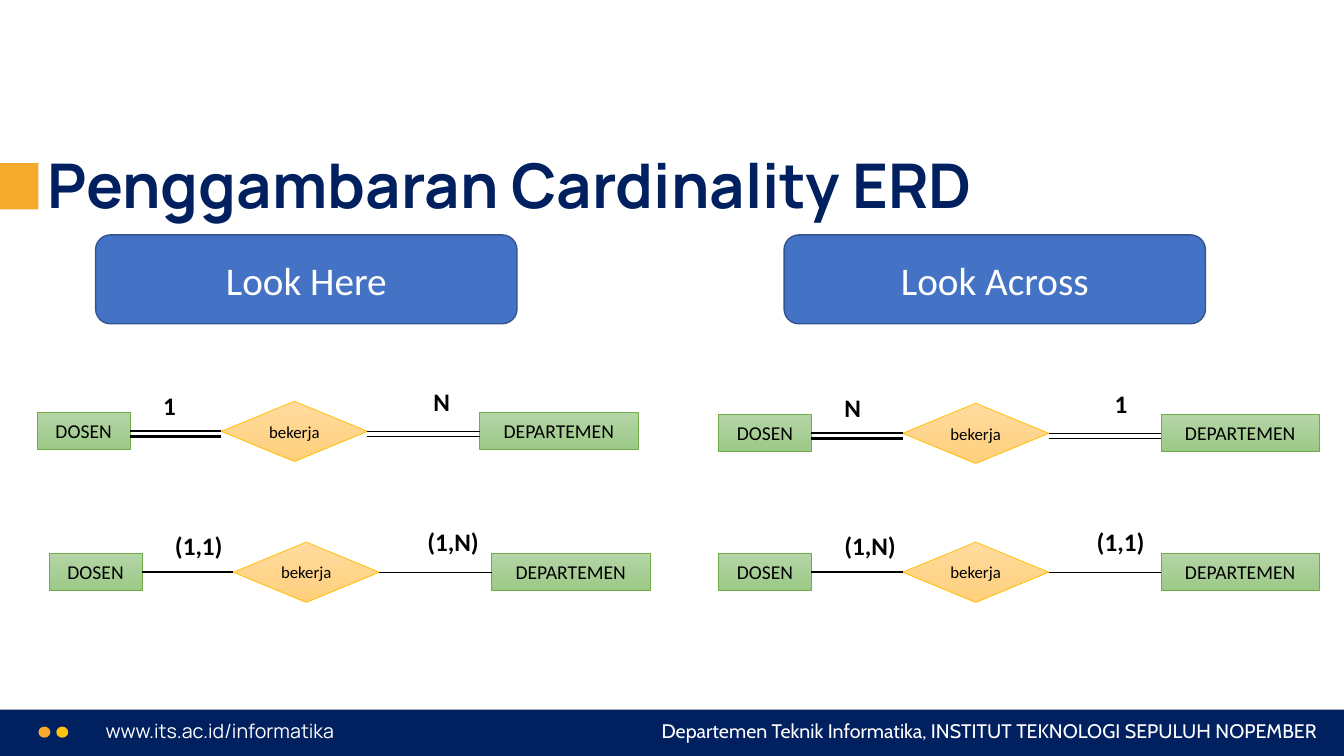
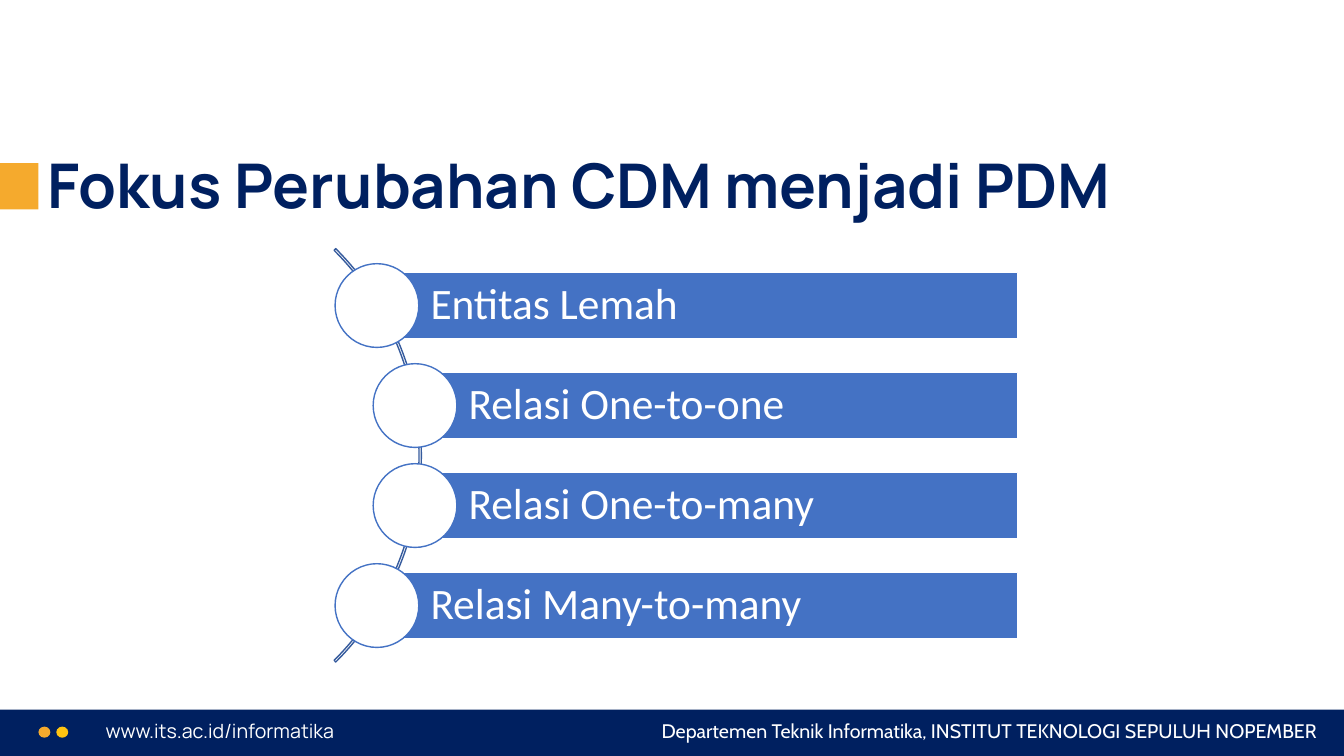
from pptx import Presentation
from pptx import util as u
from pptx.dml.color import RGBColor
from pptx.enum import shapes, text
from pptx.oxml.ns import qn
from lxml import etree

COLORS = {
    "navy": "002060", "orange": "F5AA2D", "yellow": "FFC411",
    "blue": "4472C4", "blue_edge": "325491", "arc": "365B9D",
    "green_top": "B5D5A7", "green_bottom": "9CC987", "green_edge": "70AD47",
    "gold_top": "FFDB9E", "gold_bottom": "FFD07C", "gold_edge": "FFC000",
    "black": "000000", "white": "FFFFFF",
}
GREEN = ("green_top", "green_bottom")
GOLD = ("gold_top", "gold_bottom")
WIDTH, HEIGHT = 33.87, 19.05
SHAPE = shapes.MSO_SHAPE
ALIGN = text.PP_ALIGN
ANCHOR = text.MSO_ANCHOR


def rgb(name):
    return RGBColor.from_string(COLORS[name])


class Deck:
    """Holds the shared style and the slide being drawn."""

    def __init__(self):
        self.prs = Presentation()
        self.prs.slide_width = u.Cm(WIDTH)
        self.prs.slide_height = u.Cm(HEIGHT)
        self.s = None

    def slide(self, title):
        self.s = self.prs.slides.add_slide(self.prs.slide_layouts[5])
        self.footer()
        # Title with its accent block
        self.shape(SHAPE.RECTANGLE, 0, 4.11, 0.97, 1.17, "orange")
        sp = self.s.shapes.title
        sp.left, sp.top, sp.width, sp.height = map(u.Cm, (0.94, 3.51, 32.16, 2.21))
        sp.text_frame.auto_size = text.MSO_AUTO_SIZE.NONE
        sp.text_frame.vertical_anchor = ANCHOR.BOTTOM
        self.add_text(sp.text_frame, title, 44, "navy", "Manrope", True,
                      ALIGN.LEFT, 0.9)

    def footer(self):
        self.shape(SHAPE.RECTANGLE, 0, 17.88, WIDTH, 1.17, "navy")
        for x, color in ((0.97, "orange"), (1.42, "yellow")):
            self.shape(SHAPE.OVAL, x, 18.31, 0.3, 0.28, color)
        self.label("www.its.ac.id/informatika", 2.41, 17.98, 10.87, 0.86,
                   14, "white", "Manrope")
        self.label("Departemen Teknik Informatika, INSTITUT TEKNOLOGI SEPULUH NOPEMBER",
                   15.01, 17.98, 18.44, 0.86, 14, "white", "Cabin",
                   align=ALIGN.RIGHT)

    def add_text(self, tf, words, size, color, font="Calibri", bold=False,
                 align=ALIGN.CENTER, spacing=None):
        p = tf.paragraphs[0]
        p.alignment = align
        if spacing:
            p.line_spacing = spacing
        r = p.add_run()
        r.text = words
        r.font.size, r.font.name, r.font.bold = u.Pt(size), font, bold
        r.font.color.rgb = rgb(color)

    def shape(self, kind, x, y, w, h, fill=None, edge=None, weight=1):
        """Fill is a colour name, a pair for a vertical gradient, or None."""
        sp = self.s.shapes.add_shape(kind, *map(u.Cm, (x, y, w, h)))
        sp.shadow.inherit = False
        if fill is None:
            sp.fill.background()
        elif isinstance(fill, tuple):
            sp.fill.gradient()
            sp.fill.gradient_angle = 270
            for stop, name, position in zip(sp.fill.gradient_stops, fill, (0, 1)):
                stop.color.rgb = rgb(name)
                stop.position = position
        else:
            sp.fill.solid()
            sp.fill.fore_color.rgb = rgb(fill)
        if edge:
            sp.line.color.rgb = rgb(edge)
            sp.line.width = u.Pt(weight)
        else:
            sp.line.fill.background()
        sp.text_frame.vertical_anchor = ANCHOR.MIDDLE
        return sp

    def label(self, words, x, y, w, h, size, color="black", font="Calibri",
              bold=False, align=ALIGN.LEFT, wrap=True):
        sp = self.s.shapes.add_textbox(*map(u.Cm, (x, y, w, h)))
        sp.text_frame.word_wrap = wrap
        self.add_text(sp.text_frame, words, size, color, font, bold, align)

    def line(self, x1, x2, y, weight):
        c = self.s.shapes.add_connector(shapes.MSO_CONNECTOR.STRAIGHT,
                                        *map(u.Cm, (x1, y, x2, y)))
        c.line.color.rgb = rgb("black")
        c.line.width = u.Pt(weight)
        etree.SubElement(c.element.spPr, qn("a:effectLst"))

    def button(self, words, x):
        sp = self.shape(SHAPE.ROUNDED_RECTANGLE, x, 5.92, 10.62, 2.24,
                        "blue", "blue_edge")
        self.add_text(sp.text_frame, words, 28, "white")

    def relation(self, x, y, left, right, double):
        """Two entities joined by a relationship, with their cardinalities."""
        nodes = (
            ("DOSEN", SHAPE.RECTANGLE, 0, 0, 2.34, 0.94, GREEN, "green_edge", 14),
            ("bekerja", SHAPE.FLOWCHART_DECISION, 4.64, -0.28, 3.68, 1.52,
             GOLD, "gold_edge", 12),
            ("DEPARTEMEN", SHAPE.RECTANGLE, 11.15, 0, 3.99, 0.94,
             GREEN, "green_edge", 14),
        )
        for words, kind, dx, dy, w, h, fill, edge, size in nodes:
            sp = self.shape(kind, x + dx, y + dy, w, h, fill, edge, 0.5)
            self.add_text(sp.text_frame, words, size, "black")
        for dy in (0.48, 0.61) if double else (0.48,):
            self.line(x + 2.34, x + 4.64, y + dy, 1.5)
            self.line(x + 8.32, x + 11.15, y + dy, 0.5)
        w, right_dx = (0.9, 9.73) if double else (1.8, 9.28)
        for words, dx, dy in ((left, 2.92, -0.69), (right, right_dx, -0.79)):
            self.label(words, x + dx, y + dy, w, 1.02, 18, bold=True, wrap=False)

    def topic(self, words, x, y):
        """A bar ending at a fixed right edge, with a circle on its left end."""
        height, circle = 1.68, 2.11
        sp = self.shape(SHAPE.RECTANGLE, x, y, 25.65 - x, height, "blue", "white")
        tf = sp.text_frame
        tf.margin_left = u.Cm(1.35)
        tf.margin_right = tf.margin_top = tf.margin_bottom = u.Cm(0.23)
        self.add_text(tf, words, 31, "white", align=ALIGN.LEFT, spacing=0.9)
        self.shape(SHAPE.OVAL, x - circle / 2, y + (height - circle) / 2,
                   circle, circle, "white", "blue")

    def arc(self, x, y, size):
        sp = self.shape(SHAPE.BLOCK_ARC, x, y, size, size, None, "arc")
        for i, value in enumerate((189, 27, 0.004)):
            sp.adjustments[i] = value


def main():
    deck = Deck()

    # Cardinality notations
    deck.slide("Penggambaran Cardinality ERD")
    deck.button("Look Here", 2.41)
    deck.button("Look Across", 19.76)
    for x, y, left, right, double in (
        (0.94, 10.39, "1", "N", True),
        (18.11, 10.44, "N", "1", True),
        (1.24, 13.94, "(1,1)", "(1,N)", False),
        (18.11, 13.94, "(1,N)", "(1,1)", False),
    ):
        deck.relation(x, y, left, right, double)

    # Topics along the arc
    deck.slide("Fokus Perubahan CDM menjadi PDM")
    deck.arc(-4.11, 4.11, 14.73)
    topics = (("Entitas Lemah", 9.5), ("Relasi One-to-one", 10.46),
              ("Relasi One-to-many", 10.46), ("Relasi Many-to-many", 9.5))
    for i, (words, x) in enumerate(topics):
        deck.topic(words, x, 6.86 + i * 2.52)

    deck.prs.save("out.pptx")


if __name__ == "__main__":
    main()
